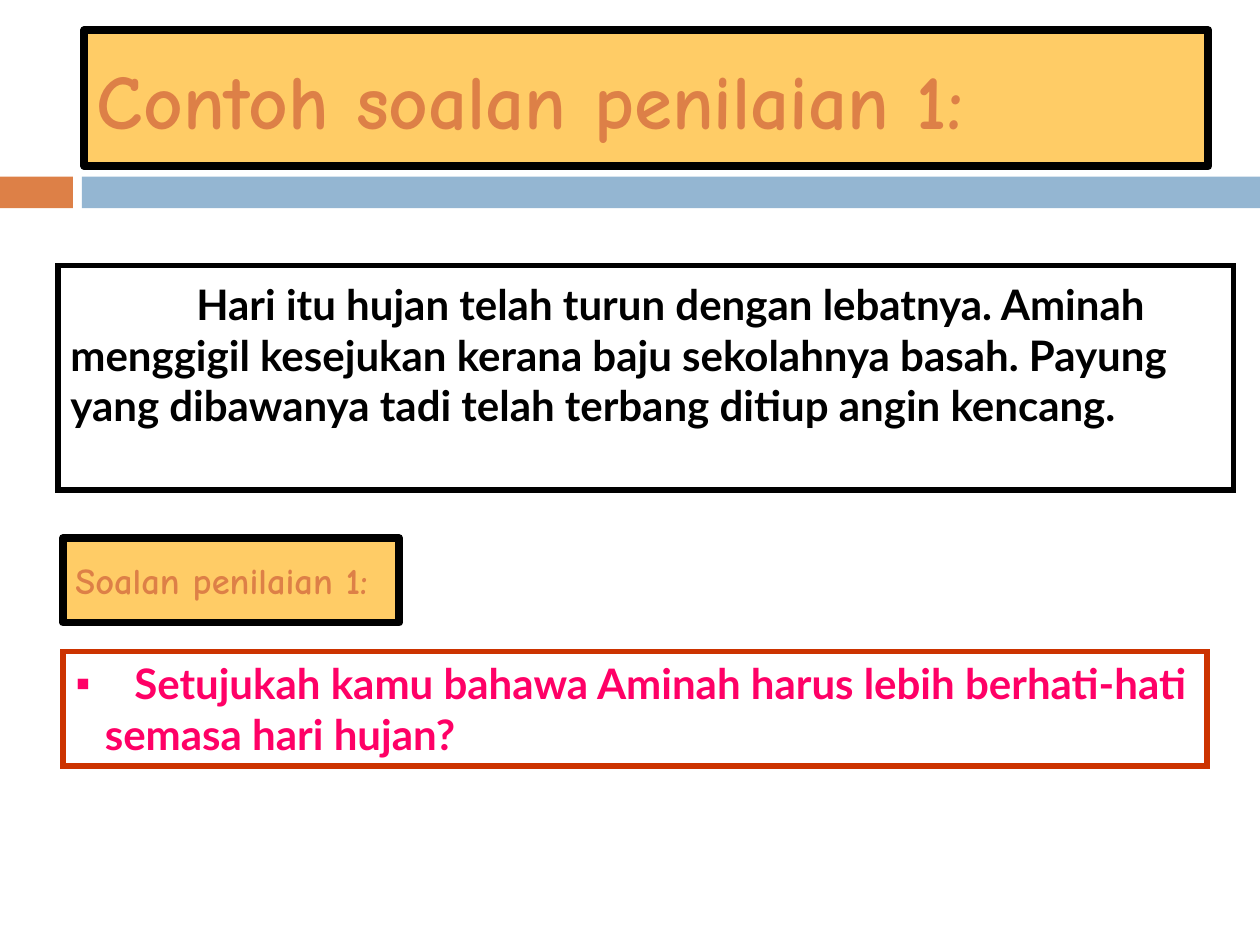
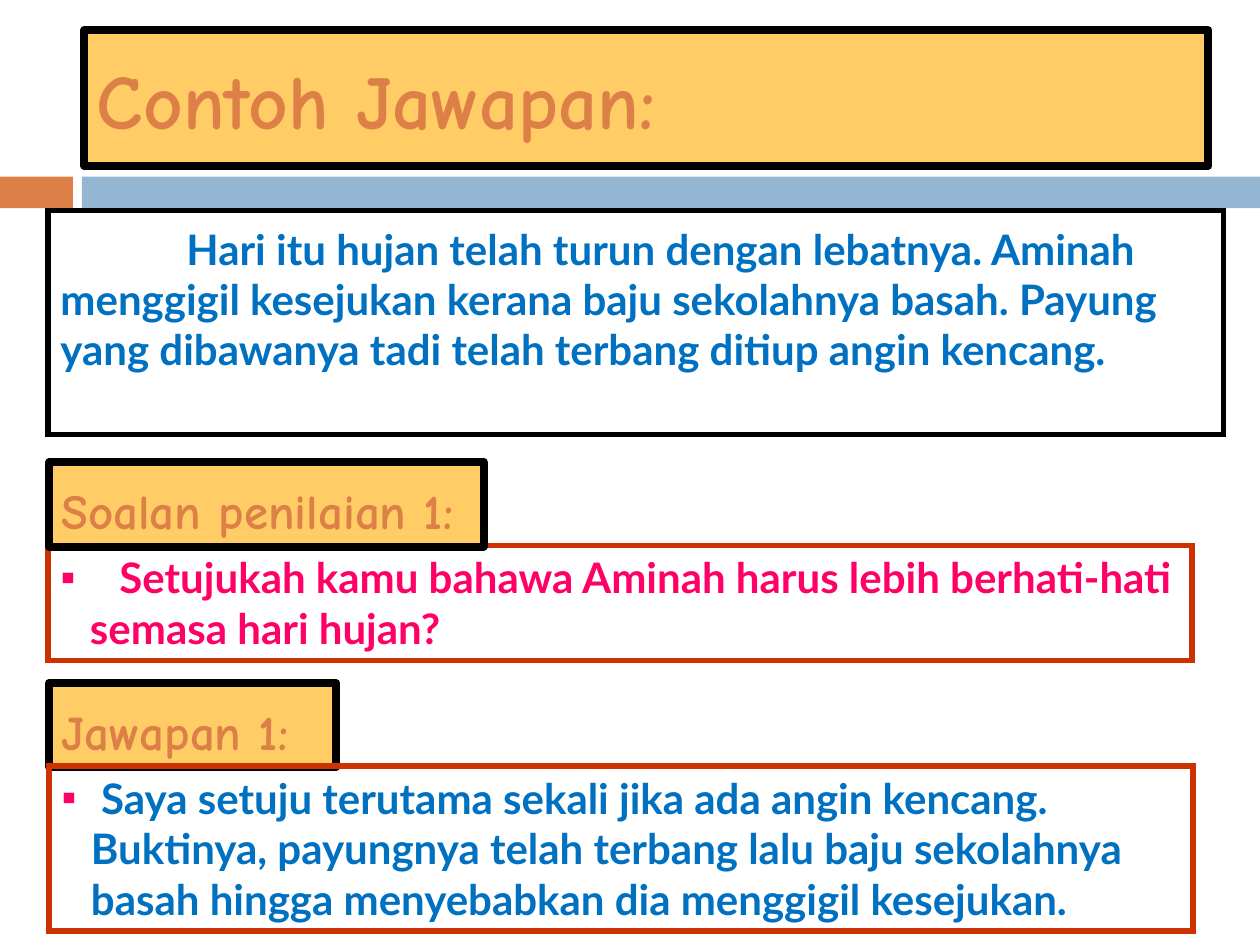
from lxml import etree
from pptx import Presentation, util as u
from pptx.dml.color import RGBColor
from pptx.enum import shapes, text
from pptx.oxml import ns

# Shared look
BLACK = RGBColor(0x00, 0x00, 0x00)
AMBER = RGBColor(0xFF, 0xCC, 0x66)
ORANGE = RGBColor(0xDD, 0x80, 0x47)
SKY = RGBColor(0x94, 0xB6, 0xD2)
RUST = RGBColor(0xCC, 0x33, 0x00)
PINK = RGBColor(0xFF, 0x00, 0x66)
BLUE = RGBColor(0x00, 0x70, 0xC0)
HEADING_FONT = "Comic Neue"
BODY_FONT = "Lato"
BODY_SIZE = 24
BULLET_INDENT = u.Cm(0.59)
LABEL_HEIGHT = 1.7
BOX_WIDTH = 23.06

# Wording used on both slides
STORY = ("Hari itu hujan telah turun dengan lebatnya. Aminah menggigil "
         "kesejukan kerana baju sekolahnya basah. Payung yang dibawanya tadi "
         "telah terbang ditiup angin kencang.")
QUESTION_LABEL = "Soalan penilaian 1:"
QUESTION = "Setujukah kamu bahawa Aminah harus lebih berhati-hati semasa hari hujan?"
ANSWER = ("Saya setuju terutama sekali jika ada angin kencang. Buktinya, "
          "payungnya telah terbang lalu baju sekolahnya basah hingga "
          "menyebabkan dia menggigil kesejukan.")


def place(shape, left, top, width, height):
    """Position a shape, in centimetres."""
    shape.left, shape.top = u.Cm(left), u.Cm(top)
    shape.width, shape.height = u.Cm(width), u.Cm(height)


def outline(shape, color, width, sharp=False):
    shape.line.color.rgb = color
    shape.line.width = u.Pt(width)
    if sharp:
        miter = etree.SubElement(shape.line._get_or_add_ln(), ns.qn("a:miter"))
        miter.set("lim", "800000")


def add_run(paragraph, words, font, size, color):
    run = paragraph.add_run()
    run.text = words
    run.font.name, run.font.size, run.font.bold = font, u.Pt(size), True
    run.font.color.rgb = color
    return run


def prepare_frame(shape, anchor):
    frame = shape.text_frame
    frame.word_wrap = True
    frame.auto_size = text.MSO_AUTO_SIZE.NONE
    frame.vertical_anchor = anchor
    paragraph = frame.paragraphs[0]
    paragraph.alignment = text.PP_ALIGN.LEFT
    return paragraph


def add_bands(presentation, slide):
    """Draw the two bands and hand them to the slide master."""
    tree = presentation.slide_master.shapes.element
    for left, width, color in ((0, 1.47, ORANGE), (1.65, 23.75, SKY)):
        band = slide.shapes.add_shape(shapes.MSO_SHAPE.RECTANGLE, u.Cm(left),
                                      u.Cm(3.56), u.Cm(width), u.Cm(0.64))
        band.shadow.inherit = False
        band.fill.solid()
        band.fill.fore_color.rgb = color
        band.line.fill.background()
        tree.insert(2, band.element)


def format_heading(shape, words, size):
    """Amber panel with a thick black frame, for titles and labels."""
    shape.fill.solid()
    shape.fill.fore_color.rgb = AMBER
    outline(shape, BLACK, 4.5)
    paragraph = prepare_frame(shape, text.MSO_ANCHOR.MIDDLE)
    add_run(paragraph, words, HEADING_FONT, size, ORANGE)
    return paragraph


def set_title(slide, words):
    title = slide.shapes.title
    place(title, 1.7, 0.61, 22.66, 2.74)
    format_heading(title, words, 44)


def add_label(slide, words, left, top, width, size, spacing=1.0):
    label = slide.shapes.add_textbox(u.Cm(left), u.Cm(top), u.Cm(width),
                                     u.Cm(LABEL_HEIGHT))
    format_heading(label, words, size).line_spacing = spacing


def add_story(slide, left, top, color):
    story = slide.shapes.add_textbox(u.Cm(left), u.Cm(top), u.Cm(23.7), u.Cm(4.52))
    outline(story, BLACK, 3, sharp=True)
    paragraph = prepare_frame(story, text.MSO_ANCHOR.TOP)
    story.text_frame.margin_top = u.Cm(0.26)
    paragraph._p.get_or_add_pPr().set("indent", str(u.Cm(2.54)))
    add_run(paragraph, STORY, BODY_FONT, BODY_SIZE, color)


def fill_bullet_box(slide, body, words, color, left, top, height, lead=0):
    """Framed bullet in a body placeholder; lead widens the first gap (points)."""
    slide.shapes.element.append(body.element)  # stack in order of the calls
    place(body, left, top, BOX_WIDTH, height)
    outline(body, RUST, 3, sharp=True)
    paragraph = prepare_frame(body, text.MSO_ANCHOR.TOP)
    properties = paragraph._p.get_or_add_pPr()
    properties.set("marL", str(BULLET_INDENT))
    properties.set("indent", str(-BULLET_INDENT))
    bullet_color = etree.SubElement(properties, ns.qn("a:buClr"))
    etree.SubElement(bullet_color, ns.qn("a:srgbClr")).set("val", str(PINK))
    etree.SubElement(properties, ns.qn("a:buChar")).set("char", "▪")
    gap = add_run(paragraph, " ", BODY_FONT, BODY_SIZE, PINK)
    if lead:
        gap.font._element.set("spc", str(lead * 100))
    add_run(paragraph, words, BODY_FONT, BODY_SIZE, color)


def build_question_slide(presentation):
    slide = presentation.slides.add_slide(presentation.slide_layouts[1])
    add_bands(presentation, slide)
    add_story(slide, 1.17, 5.36, BLACK)
    set_title(slide, "Contoh soalan penilaian 1:")
    fill_bullet_box(slide, slide.placeholders[1], QUESTION, PINK,
                    1.27, 13.13, 2.31, lead=11)
    add_label(slide, QUESTION_LABEL, 1.27, 10.85, 6.78, 20.9)


def build_answer_slide(presentation):
    slide = presentation.slides.add_slide(presentation.slide_layouts[3])
    set_title(slide, "Contoh Jawapan:")
    fill_bullet_box(slide, slide.placeholders[1], QUESTION, PINK,
                    0.97, 11, 2.31, lead=11)
    add_label(slide, QUESTION_LABEL, 0.99, 9.32, 8.76, 28, 1.2)
    add_label(slide, "Jawapan 1:", 0.99, 13.77, 5.79, 28, 1.2)
    fill_bullet_box(slide, slide.placeholders[2], ANSWER, BLUE, 0.99, 15.44, 3.33)
    add_story(slide, 0.97, 4.24, BLUE)


def main():
    presentation = Presentation()
    presentation.slide_width, presentation.slide_height = u.Cm(25.4), u.Cm(19.05)
    build_question_slide(presentation)
    build_answer_slide(presentation)
    presentation.save("out.pptx")


main()
